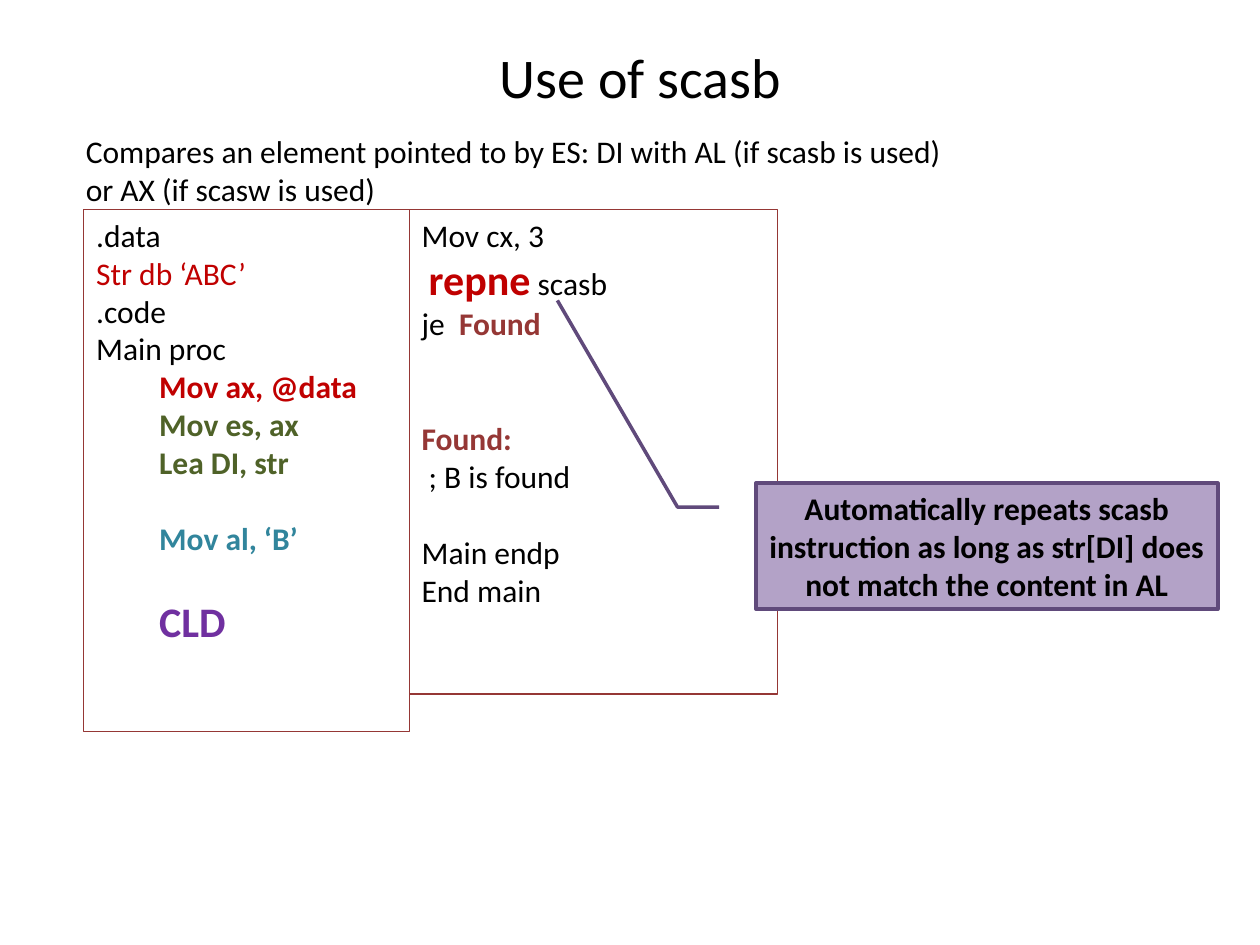
from pptx import Presentation
from pptx.dml.color import RGBColor
from pptx.enum.shapes import MSO_SHAPE
from pptx.enum.text import MSO_ANCHOR, PP_ALIGN
from pptx.util import Cm, Pt

BLACK = RGBColor(0x00, 0x00, 0x00)
RED = RGBColor(0xC0, 0x00, 0x00)
MAROON = RGBColor(0x95, 0x37, 0x35)
GREEN = RGBColor(0x4F, 0x62, 0x28)
TEAL = RGBColor(0x31, 0x85, 0x9C)
PURPLE = RGBColor(0x70, 0x30, 0xA0)
LILAC = RGBColor(0xB3, 0xA2, 0xC7)
VIOLET = RGBColor(0x60, 0x4A, 0x7B)

BLANK_LINE = Pt(22)
CODE_INDENT = Cm(1.27)


def span(text, color=BLACK, size=18, bold=False):
    return text, color, {"name": "Calibri", "size": Pt(size), "bold": bold}


def line(*spans, gap=0, indent=0):
    """One paragraph: its spans, blank lines above it, and left indent."""
    return spans, gap, indent


def write(shape, lines, align=PP_ALIGN.LEFT, anchor=MSO_ANCHOR.TOP):
    frame = shape.text_frame
    frame.word_wrap = True
    frame.vertical_anchor = anchor
    for number, (spans, gap, indent) in enumerate(lines):
        para = frame.add_paragraph() if number else frame.paragraphs[0]
        para.alignment = align
        if gap:
            para.space_before = gap * BLANK_LINE
        if indent:
            para.level = 1
            para._p.get_or_add_pPr().set("marL", str(indent))
        for text, color, font_format in spans:
            run = para.add_run()
            run.text = text
            run.font.color.rgb = color
            for name, value in font_format.items():
                setattr(run.font, name, value)


def add_text(page, place, lines, **layout):
    box = page.shapes.add_textbox(*map(Cm, place))
    write(box, lines, **layout)


def add_box(page, kind, place, lines, border, width, fill=None, **layout):
    box = page.shapes.add_shape(kind, *map(Cm, place))
    box.shadow.inherit = False
    if fill is None:
        box.fill.background()
    else:
        box.fill.solid()
        box.fill.fore_color.rgb = fill
    box.line.color.rgb = border
    box.line.width = Pt(width)
    write(box, lines, **layout)
    return box


def add_code(page, place, lines):
    add_box(page, MSO_SHAPE.RECTANGLE, place, lines, MAROON, 0.75)


def add_callout(page, place, lines, pointer):
    callout = add_box(page, MSO_SHAPE.LINE_CALLOUT_2, place, lines, VIOLET, 2,
                      fill=LILAC, align=PP_ALIGN.CENTER,
                      anchor=MSO_ANCHOR.MIDDLE)
    for number, value in enumerate(pointer):
        callout.adjustments[number] = value


def main():
    deck = Presentation()
    deck.slide_width, deck.slide_height = Cm(25.4), Cm(19.05)
    page = deck.slides.add_slide(deck.slide_layouts[6])

    # Title
    add_text(page, (1.48, 0.42, 22.86, 2.22),
             [line(span("Use of scasb", size=32))],
             align=PP_ALIGN.CENTER, anchor=MSO_ANCHOR.MIDDLE)

    # Code in two columns
    setup = [
        line(span(".data")),
        line(span("Str db ‘ABC’", RED)),
        line(span(".code")),
        line(span("Main proc")),
    ]
    body = [
        ("Mov ax, @data", RED, 18, 0),
        ("Mov es, ax", GREEN, 18, 0),
        ("Lea DI, str", GREEN, 18, 0),
        ("Mov al, ‘B’", TEAL, 18, 1),
        ("CLD", PURPLE, 24, 1),
    ]
    setup += [line(span(text, color, size, True), gap=gap, indent=CODE_INDENT)
              for text, color, size, gap in body]
    add_code(page, (1.69, 4.23, 6.56, 10.52), setup)

    add_code(page, (8.25, 4.23, 7.42, 9.76), [
        line(span("Mov cx, 3")),
        line(span(" "), span("repne", RED, 24, True), span(" scasb")),
        line(span("je  "), span("Found", MAROON, bold=True)),
        line(span("Found:", MAROON, bold=True), gap=2),
        line(span(" ; B is found")),
        line(span("Main endp"), gap=1),
        line(span("End main")),
    ])

    # Callout pointing at scasb
    add_callout(page, (15.24, 9.74, 9.31, 2.54),
                [line(span("Automatically repeats scasb instruction as long "
                           "as str[DI] does not match the content in AL",
                           bold=True))],
                pointer=(0.19, -0.08, 0.19, -0.17, -1.45, -0.43))

    # Explanation
    add_text(page, (1.48, 2.54, 17.99, 1.8),
             [line(span("Compares an element pointed to by ES: DI with AL "
                        "(if scasb is used) or AX (if scasw is used)"))])

    deck.save("out.pptx")


if __name__ == "__main__":
    main()
